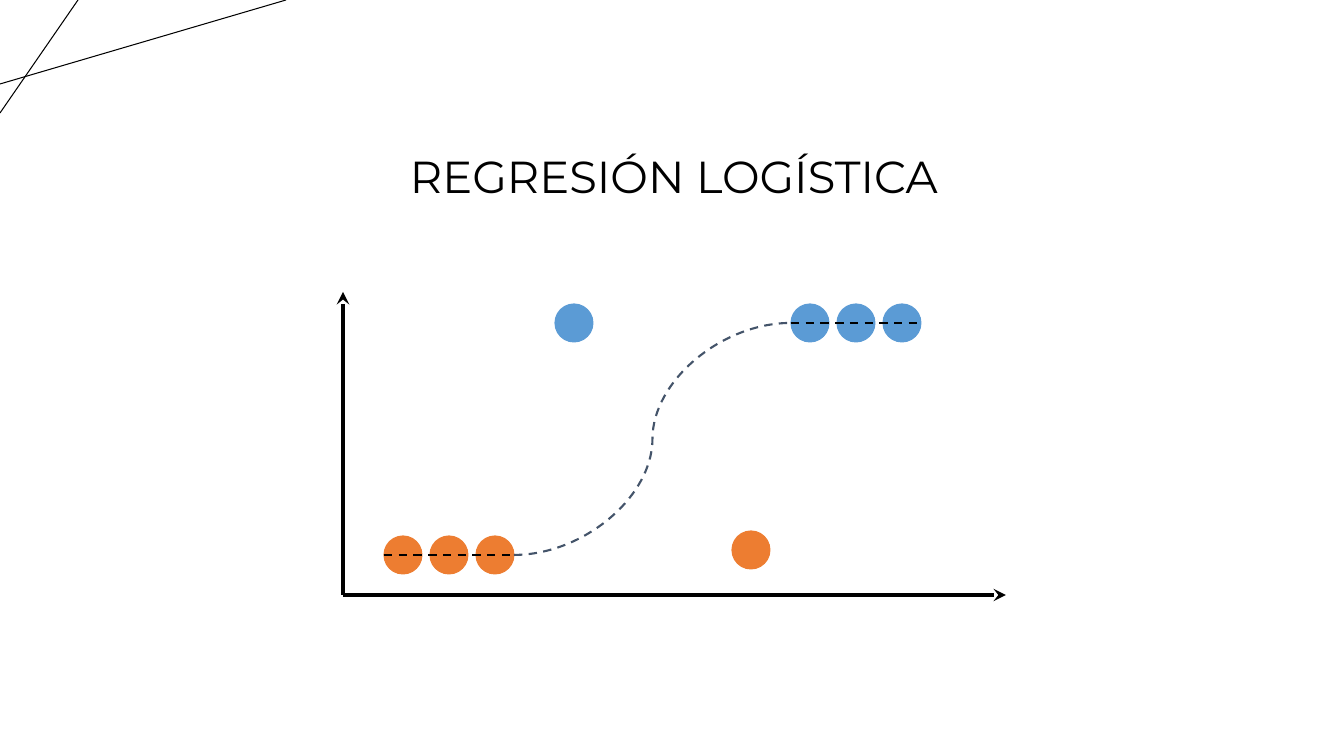
import pptx
import pptx.util
import pptx.dml.color
import pptx.enum.dml
import pptx.enum.shapes
import pptx.enum.text
import pptx.oxml.ns
import lxml.etree

TITLE = "REGRESIÓN LOGÍSTICA"
TITLE_BOX = (393, 126, 562, 105)
COLORS = {"ink": "000000", "curve": "44546A", "low": "ED7D31", "high": "5B9BD5"}
CORNER_LINES = [((0, 84), (286, 0)), ((78, 0), (0, 113))]
ORIGIN = (343, 595)
AXIS_ENDS = [(1006, 595), (343, 292)]
DOT = 38
DOT_STEP = 46
DOTS_PER_ROW = 3
ROWS = [("low", 384, 536), ("high", 791, 304)]
OUTLIERS = [("high", 555, 304), ("low", 732, 531)]
EMU_PER_PX = 914400 / 100.8

Straight = pptx.enum.shapes.MSO_CONNECTOR.STRAIGHT
Curve = pptx.enum.shapes.MSO_CONNECTOR.CURVE


def px(length):
    return pptx.util.Emu(round(length * EMU_PER_PX))


def color(name):
    return pptx.dml.color.RGBColor.from_string(COLORS[name])


def add_line(page, start, end, kind=Straight, ink="ink", width=0.75, dashed=False, arrow=False):
    line = page.shapes.add_connector(kind, *map(px, start + end))
    line.line.color.rgb = color(ink)
    line.line.width = pptx.util.Pt(width)
    if dashed:
        line.line.dash_style = pptx.enum.dml.MSO_LINE.DASH
    if arrow:
        head = lxml.etree.SubElement(line.line._get_or_add_ln(), pptx.oxml.ns.qn("a:tailEnd"))
        head.set("type", "stealth")
    lxml.etree.SubElement(line._element.spPr, pptx.oxml.ns.qn("a:effectLst"))


def add_dot(page, fill, left, top):
    oval = pptx.enum.shapes.MSO_SHAPE.OVAL
    dot = page.shapes.add_shape(oval, px(left), px(top), px(DOT), px(DOT))
    dot.shadow.inherit = False
    dot.fill.solid()
    dot.fill.fore_color.rgb = color(fill)
    dot.line.color.rgb = color(fill)
    dot.line.width = pptx.util.Pt(0.75)


def write_text(box, text, size, font, ink, align, spacing, inset):
    frame = box.text_frame
    frame.word_wrap = True
    frame.auto_size = pptx.enum.text.MSO_AUTO_SIZE.NONE
    frame.vertical_anchor = pptx.enum.text.MSO_ANCHOR.MIDDLE
    frame.margin_left = frame.margin_right = px(inset)
    frame.margin_top = frame.margin_bottom = px(inset)
    para = frame.paragraphs[0]
    para.alignment = align
    para.line_spacing = spacing
    span = para.add_run()
    span.text = text
    span.font.size = pptx.util.Pt(size)
    span.font.name = font
    span.font.color.rgb = color(ink)


def main():
    deck = pptx.Presentation()
    deck.slide_width, deck.slide_height = px(1344), px(756)
    page = deck.slides.add_slide(deck.slide_layouts[5])

    for start, end in CORNER_LINES:
        add_line(page, start, end)

    title = page.shapes.title
    title.left, title.top, title.width, title.height = map(px, TITLE_BOX)
    write_text(title, TITLE, size=32, font="Montserrat", ink="ink",
               align=pptx.enum.text.PP_ALIGN.CENTER, spacing=0.9, inset=10)

    for end in AXIS_ENDS:
        add_line(page, ORIGIN, end, width=3, arrow=True)

    spans = []
    for fill, left, top in ROWS:
        for index in range(DOTS_PER_ROW):
            add_dot(page, fill, left + index * DOT_STEP, top)
        right = left + (DOTS_PER_ROW - 1) * DOT_STEP + DOT
        middle = top + DOT // 2
        spans.append(((left, middle), (right, middle)))

    low, high = spans
    add_line(page, low[1], high[0], kind=Curve, ink="curve", width=1.5, dashed=True)
    for start, end in spans:
        add_line(page, start, end, width=1.5, dashed=True)

    for fill, left, top in OUTLIERS:
        add_dot(page, fill, left, top)

    deck.save("out.pptx")


if __name__ == "__main__":
    main()
